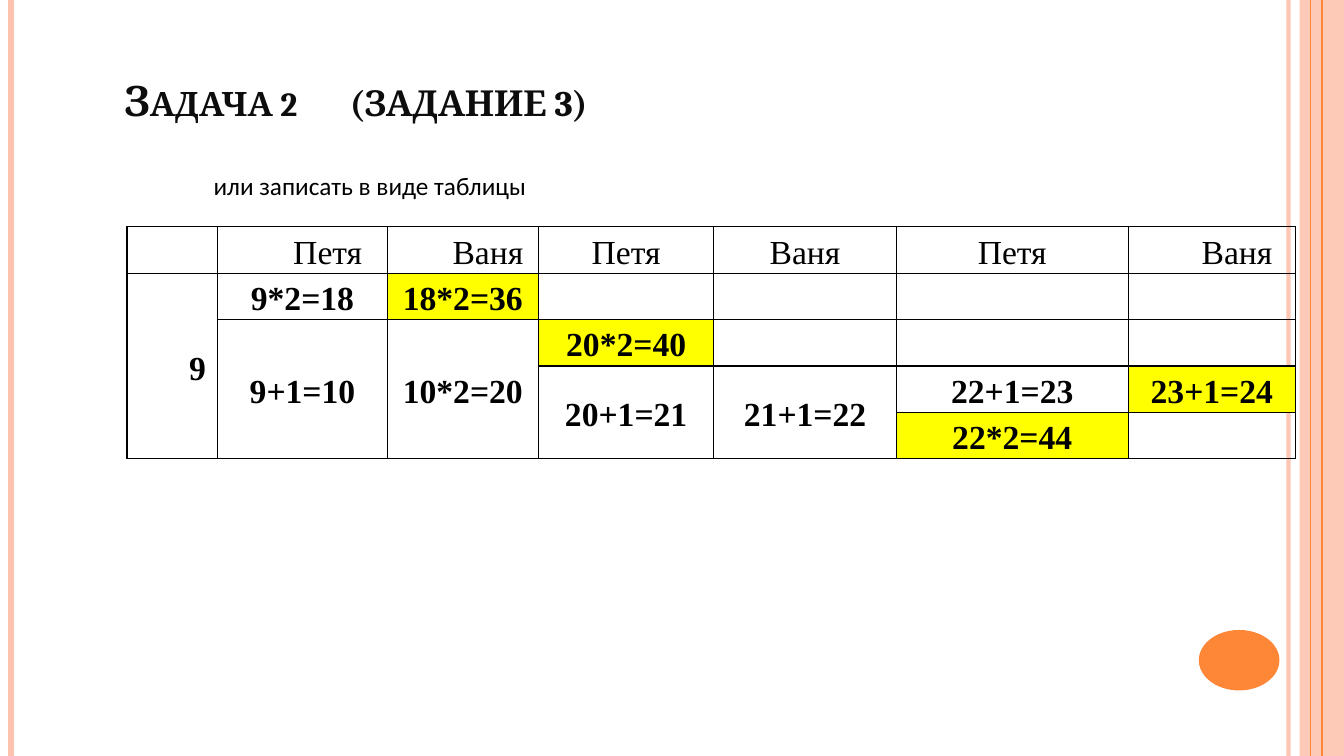
"""Build the slide with the game table of task 2."""
from lxml import etree
from pptx import Presentation
from pptx import util as u
from pptx.dml.color import RGBColor
from pptx.enum import shapes, text
from pptx.oxml import parse_xml
from pptx.oxml.ns import nsdecls, qn


def paint(color, value, alpha=100):
    color.rgb = RGBColor.from_string(value)
    if alpha < 100:
        clr = color._xFill.find(qn("a:srgbClr"))
        etree.SubElement(clr, qn("a:alpha")).set("val", str(alpha * 1000))


def write(p, words, name, size, color, bold=False):
    r = p.add_run()
    r.text = words
    for key, value in {"name": name, "size": u.Pt(size), "bold": bold}.items():
        setattr(r.font, key, value)
    paint(r.font.color, color)
    return r


prs = Presentation()
prs.slide_width, prs.slide_height = u.Inches(13.33), u.Inches(7.5)
s = prs.slides.add_slide(prs.slide_layouts[5])

stripes = [(12.78, "FEC3AE", 3, 93), (0.11, "FEC3AE", 4.5, 100),
           (13.11, "FE8637", 1.5, 100), (13, "FE8637", 0.75, 100)]
blocks = [(shapes.MSO_SHAPE.RECTANGLE, 12.89, 0, 0.44, 7.5, "FEC3AE", 87),
          (shapes.MSO_SHAPE.OVAL, 11.89, 6.25, 0.8, 0.6, "FE8637", 100)]
for kind, *box, color, alpha in blocks:
    sp = s.shapes.add_shape(kind, *map(u.Inches, box))
    sp.shadow.inherit = False
    sp.fill.solid()
    paint(sp.fill.fore_color, color, alpha)
    sp.line.fill.background()
for x, color, width, alpha in stripes:
    line = s.shapes.add_connector(shapes.MSO_CONNECTOR.STRAIGHT, u.Inches(x), 0,
                                  u.Inches(x), prs.slide_height)
    line.line.width = u.Pt(width)
    line.line.fill.solid()
    paint(line.line.fill.fore_color, color, alpha)
    etree.SubElement(line._element.spPr, qn("a:effectLst"))

title = s.shapes.title
for key, value in {"left": 1.13, "top": -0.33, "width": 11.13, "height": 1.63}.items():
    setattr(title, key, u.Inches(value))
tf = title.text_frame
for key, value in {"vertical_anchor": text.MSO_ANCHOR.BOTTOM, "word_wrap": True,
                   "auto_size": text.MSO_AUTO_SIZE.NONE}.items():
    setattr(tf, key, value)
p = tf.paragraphs[0]
p.alignment = text.PP_ALIGN.LEFT
tabs = etree.SubElement(p._p.get_or_add_pPr(), qn("a:tabLst"))
etree.SubElement(tabs, qn("a:tab"), pos=str(u.Inches(2.24)), algn="l")
for words, size in [("Задача 2\t", 30), ("(задание 3)", 32)]:
    r = write(p, words, "Cambria", size, "0D0D0D", True)
    r._r.get_or_add_rPr().set("cap", "small")

sp = s.shapes.add_textbox(*map(u.Inches, (1.32, 1.6, 4.04, 0.45)))
sp.text_frame.word_wrap = False
p = sp.text_frame.paragraphs[0]
p.line_spacing = 1.15
p._p.get_or_add_pPr().set("marL", str(u.Inches(0.7)))
write(p, "или записать в виде таблицы", "Calibri", 18, "000000")

rows = [["", "Петя", "Ваня", "Петя", "Ваня", "Петя", "Ваня"],
        ["9", "9*2=18", "18*2=36", "", "", "", ""],
        ["", "9+1=10", "10*2=20", "20*2=40", "", "", ""],
        ["", "", "", "20+1=21", "21+1=22", "22+1=23", "23+1=24"],
        ["", "", "", "", "", "22*2=44", ""]]
widths = [0.9, 1.68, 1.5, 1.74, 1.81, 2.3, 1.66]
indented = {(0, 1), (0, 2), (0, 6), (1, 0)}
wins = {"18*2=36", "20*2=40", "23+1=24", "22*2=44"}
merge_tops = [1, 2, 2, 3, 3]

table = s.shapes.add_table(len(rows), len(widths),
                           *map(u.Inches, (1.26, 2.25, 11.6, 2.3))).table
table.first_row = table.horz_banding = False
for column, width in zip(table.columns, widths):
    column.width = u.Inches(width)
for i, row in enumerate(rows):
    table.rows[i].height = u.Inches(0.46)
    for j, words in enumerate(row):
        cell = table.cell(i, j)
        for key, value in {"margin_left": u.Inches(0.07), "margin_right": u.Inches(0.07),
                           "margin_top": 0, "margin_bottom": 0,
                           "vertical_anchor": text.MSO_ANCHOR.MIDDLE}.items():
            setattr(cell, key, value)
        for side in ("lnL", "lnR", "lnT", "lnB"):
            cell._tc.get_or_add_tcPr().append(parse_xml(
                f'<a:{side} {nsdecls("a")} w="12700"><a:solidFill>'
                f'<a:srgbClr val="000000"/></a:solidFill></a:{side}>'))
        if words in wins:
            cell.fill.solid()
            paint(cell.fill.fore_color, "FFFF00")
        else:
            cell.fill.background()
        if words:
            p = cell.text_frame.paragraphs[0]
            p.alignment = text.PP_ALIGN.CENTER
            p.line_spacing = 1.15
            if (i, j) in indented:
                p._p.get_or_add_pPr().set("marL", str(u.Inches(0.5)))
            write(p, words, "Times New Roman", 24, "000000", i > 0)
for j, top in enumerate(merge_tops):
    table.cell(top, j).merge(table.cell(len(rows) - 1, j))

prs.save("out.pptx")
